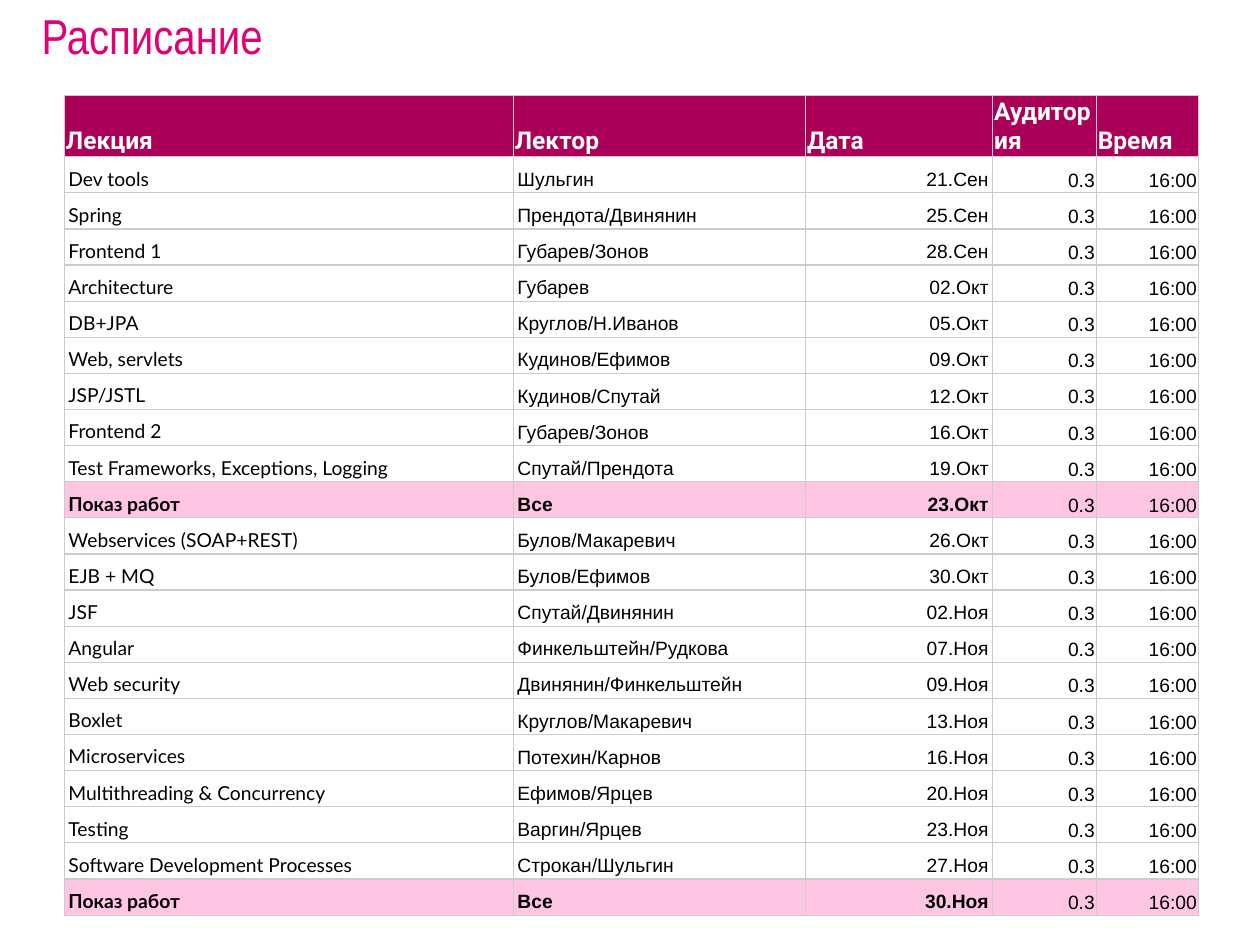
from lxml.etree import SubElement as Sub
from pptx import Presentation
from pptx.dml.color import RGBColor as RGB
from pptx.enum.text import MSO_ANCHOR as Anchor, PP_ALIGN as Align
from pptx.oxml.ns import qn
from pptx.util import Cm, Pt

PINK = RGB(0xE2, 0x00, 0x74)
WINE = RGB(0xAA, 0x00, 0x57)
ROSE = RGB(0xFF, 0xC6, 0xE3)
GREY = RGB(0xCC, 0xCC, 0xCC)
BLACK = RGB(0, 0, 0)
WHITE = RGB(0xFF, 0xFF, 0xFF)

ROOM, TIME = "0.3", "16:00"
SHOW = "Показ работ"
HEADS = ["Лекция", "Лектор", "Дата", "Аудитория", "Время"]
TALKS = [
    ("Dev tools", "Шульгин", "21.Сен"),
    ("Spring", "Прендота/Двинянин", "25.Сен"),
    ("Frontend 1", "Губарев/Зонов", "28.Сен"),
    ("Architecture", "Губарев", "02.Окт"),
    ("DB+JPA", "Круглов/Н.Иванов", "05.Окт"),
    ("Web, servlets", "Кудинов/Ефимов", "09.Окт"),
    ("JSP/JSTL", "Кудинов/Спутай", "12.Окт"),
    ("Frontend 2", "Губарев/Зонов", "16.Окт"),
    ("Test Frameworks, Exceptions, Logging", "Спутай/Прендота", "19.Окт"),
    (SHOW, "Все", "23.Окт"),
    ("Webservices (SOAP+REST)", "Булов/Макаревич", "26.Окт"),
    ("EJB + MQ", "Булов/Eфимов", "30.Окт"),
    ("JSF", "Спутай/Двинянин", "02.Ноя"),
    ("Angular", "Финкельштейн/Рудкова", "07.Ноя"),
    ("Web security", "Двинянин/Финкельштейн", "09.Ноя"),
    ("Boxlet", "Круглов/Макаревич", "13.Ноя"),
    ("Microservices", "Потехин/Карнов", "16.Ноя"),
    ("Multithreading & Concurrency", "Ефимов/Ярцев", "20.Ноя"),
    ("Testing", "Варгин/Ярцев", "23.Ноя"),
    ("Software Development Processes", "Строкан/Шульгин", "27.Ноя"),
    (SHOW, "Все", "30.Ноя"),
]
WIDTHS = [9.05, 5.89, 3.77, 2.09, 2.06]
HEAD_H, BODY_H = 0.66, 15.3


class Deck:
    def __init__(self):
        self.prs = Presentation()
        self.prs.slide_width, self.prs.slide_height = Cm(25.4), Cm(19.05)
        self.slide = self.prs.slides.add_slide(self.prs.slide_layouts[5])

    def style(self, para, face, size, color, bold=False, align=Align.LEFT):
        font = para.font
        font.name, font.size, font.bold = face, Pt(size), bold
        font.color.rgb = color
        para.alignment = align

    def inset(self, box, side, end):
        box.margin_left = box.margin_right = Cm(side)
        box.margin_top = box.margin_bottom = Cm(end)

    def title(self, text):
        shape = self.slide.shapes.title
        shape.left, shape.top = Cm(0.84), Cm(0.25)
        shape.width, shape.height = Cm(23.7), Cm(1.27)
        frame = shape.text_frame
        frame.text = text
        frame.vertical_anchor = Anchor.TOP
        self.inset(frame, 0, 0)
        para = frame.paragraphs[0]
        para.line_spacing = 0.9
        self.style(para, "Arial Narrow", 28, PINK)

    def border(self, cell):
        # Border lines must come before the fill in tcPr
        props = cell._tc.get_or_add_tcPr()
        for side in ("lnL", "lnR", "lnT", "lnB"):
            line = Sub(props, qn("a:" + side), w=str(Pt(0.75)))
            fill = Sub(line, qn("a:solidFill"))
            Sub(fill, qn("a:srgbClr"), val=str(GREY))

    def cell(self, cell, text, fill, pad, **look):
        self.border(cell)
        if fill is None:
            cell.fill.background()
        else:
            cell.fill.solid()
            cell.fill.fore_color.rgb = fill
        cell.text = text
        cell.vertical_anchor = Anchor.BOTTOM
        self.inset(cell, *pad)
        self.style(cell.text_frame.paragraphs[0], **look)

    def table(self, heads, talks):
        table = self.slide.shapes.add_table(
            len(talks) + 1, len(heads), Cm(1.3), Cm(1.93),
            Cm(sum(WIDTHS)), Cm(HEAD_H + BODY_H)).table
        table.first_row = table.horz_banding = False
        for col, width in zip(table.columns, WIDTHS):
            col.width = Cm(width)
        for num, row in enumerate(table.rows):
            row.height = Cm(BODY_H / len(talks) if num else HEAD_H)

        # Header row
        for col, text in enumerate(heads):
            self.cell(table.cell(0, col), text, WINE, (0.03, 0.03),
                      face="Roboto", size=14, color=WHITE, bold=True)

        # Lectures: room and time are the same in every row
        for row, talk in enumerate(talks, 1):
            show = talk[0] == SHOW
            for col, text in enumerate((*talk, ROOM, TIME)):
                main = col < 3
                self.cell(table.cell(row, col), text, ROSE if show else None,
                          (0.08, 0.05) if main else (0.03, 0.03),
                          face="Arial" if col else "Lato", size=11,
                          color=BLACK, bold=show and main,
                          align=Align.LEFT if col < 2 else Align.RIGHT)


def main():
    deck = Deck()
    deck.title("Расписание")
    deck.table(HEADS, TALKS)
    deck.prs.save("out.pptx")


if __name__ == "__main__":
    main()
